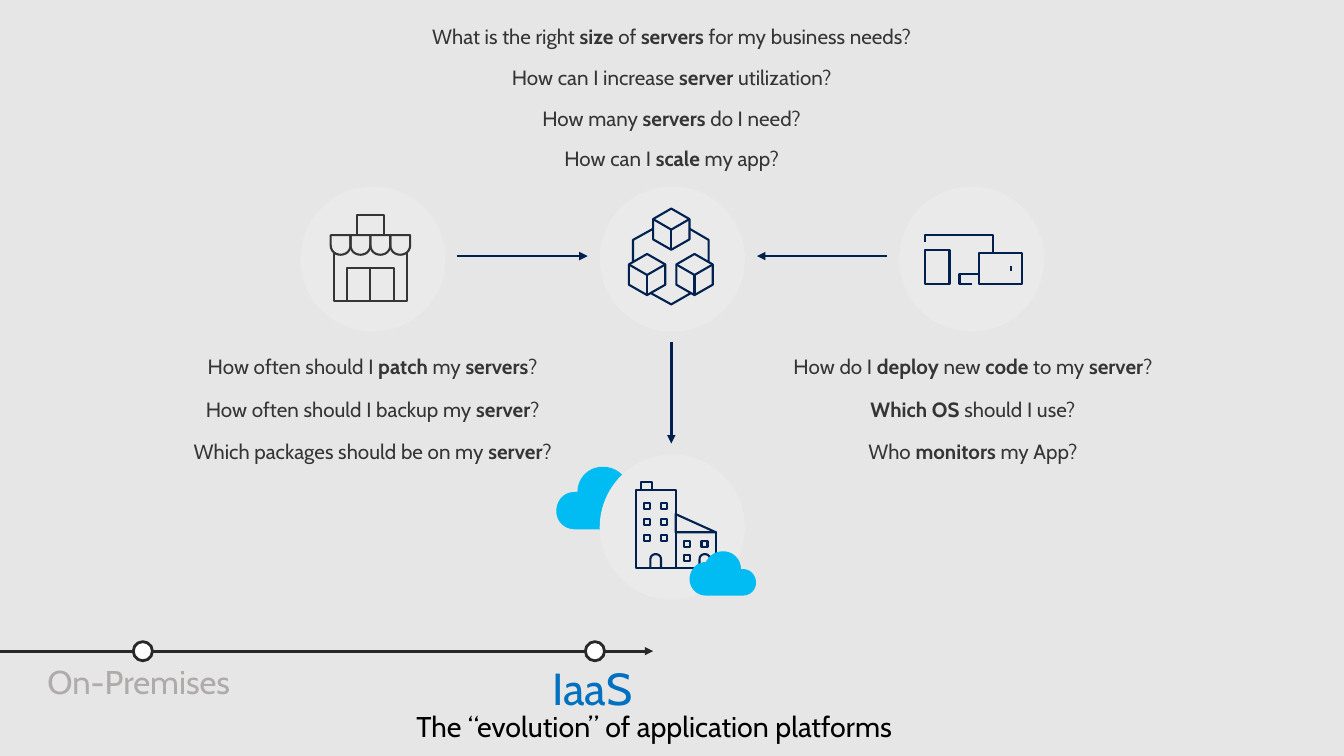
from lxml import etree
from pptx import Presentation
from pptx import util as u
from pptx.dml.color import RGBColor
from pptx.enum import shapes, text
from pptx.oxml import ns

Pt = u.Pt
MSO = shapes.MSO_SHAPE
COLORS = {"back": "E6E6E6", "disc": "EAEAEA", "navy": "002050", "cloud": "00BCF2",
          "dark": "353535", "axis": "282828", "white": "FFFFFF", "black": "000000",
          "blue": "0070C0", "gray": "AFABAB"}


def draw(parent, kind, geometry, fill=None, line=None, weight=1.5, arrow=False):
    """Draw a preset shape (x, y, w, h), a "line" (x1, y1, x2, y2) or a "path".

    A path is a list of contours; a point of six numbers is a cubic curve.
    """
    if kind == "line":
        sp = parent.add_connector(shapes.MSO_CONNECTOR.STRAIGHT, *map(Pt, geometry))
    elif kind == "path":
        builder = None
        for contour in geometry:
            points = []
            for point in contour:
                if len(point) == 2:
                    points.append(point)
                    continue
                cubic = points[-1] + point
                for t in (i / 12 for i in range(1, 13)):
                    weights = ((1 - t) ** 3, 3 * t * (1 - t) ** 2, 3 * t * t * (1 - t), t ** 3)
                    points.append(tuple(sum(w * c for w, c in zip(weights, cubic[axis::2]))
                                        for axis in (0, 1)))
            points = [(round(x * 100), round(y * 100)) for x, y in points]
            if builder is None:
                builder = parent.build_freeform(*points[0], scale=Pt(1) / 100)
            else:
                builder.move_to(*points[0])
            builder.add_line_segments(points[1:], close=points[0] == points[-1])
        sp = builder.convert_to_shape()
    else:
        sp = parent.add_shape(kind, *map(Pt, geometry))
    if line:
        sp.line.color.rgb = RGBColor.from_string(COLORS[line])
        sp.line.width = Pt(weight)
    else:
        sp.line.fill.background()
    if kind == "line":
        if arrow:
            etree.SubElement(sp.line._get_or_add_ln(), ns.qn("a:tailEnd"), type="triangle")
        etree.SubElement(sp._element.spPr, ns.qn("a:effectLst"))
        return sp
    sp.shadow.inherit = False
    if fill:
        sp.fill.solid()
        sp.fill.fore_color.rgb = RGBColor.from_string(COLORS[fill])
    else:
        sp.fill.background()
    return sp


def write(words, box, sp=None, size=14.7, color="dark", align="CENTER", anchor="TOP",
          insets=(7.2, 3.6), wrap=True, spacing=None, after=0):
    """Write a line of text; parts between asterisks are bold."""
    sp = sp or s.shapes.add_textbox(0, 0, 0, 0)
    sp.left, sp.top, sp.width, sp.height = map(Pt, box)
    tf = sp.text_frame
    tf.word_wrap = wrap
    tf.auto_size = text.MSO_AUTO_SIZE.NONE
    tf.vertical_anchor = text.MSO_ANCHOR[anchor]
    tf.margin_left = tf.margin_right = Pt(insets[0])
    tf.margin_top = tf.margin_bottom = Pt(insets[1])
    p = tf.paragraphs[0]
    p.alignment = text.PP_ALIGN[align]
    p.space_before, p.space_after = Pt(0), Pt(after)
    if spacing:
        p.line_spacing = spacing
    for i, part in enumerate(words.split("*")):
        if part:
            r = p.add_run()
            r.text = part
            r.font.name, r.font.size, r.font.bold = "Cabin", Pt(size), i % 2 == 1
            r.font.color.rgb = RGBColor.from_string(COLORS[color])


prs = Presentation()
prs.slide_width, prs.slide_height = Pt(960), Pt(540)
s = prs.slides.add_slide(prs.slide_layouts[5])
s.background.fill.solid()
s.background.fill.fore_color.rgb = RGBColor.from_string(COLORS["back"])
write("The “evolution” of application platforms", (290.2, 509, 373.7, 25.2),
      sp=s.shapes.title, size=20.4, color="black", align="LEFT", anchor="MIDDLE", spacing=0.7)

# Timeline
write("IaaS", (380.2, 464.4, 88.6, 58.3), size=32, color="blue", align="LEFT",
      insets=(14.4, 11.5), wrap=False, spacing=0.9, after=5.9)
write("On-Premises", (19.4, 464.4, 164.9, 49), size=23.5, color="gray", align="LEFT",
      insets=(14.4, 11.5), wrap=False, spacing=0.9, after=5.9)
draw(s.shapes, "line", (0, 465.1, 466.6, 465.1), line="axis", weight=2, arrow=True)
for x in (95.2, 418.1):
    draw(s.shapes, MSO.OVAL, (x, 458.3, 13.7, 13.7), fill="white", line="axis", weight=2)

# Questions: centre, first top, step and lines of each block
for center, top, step, questions in (
    (479.8, 13.7, 29.1, ("What is the right *size* of *servers* for my business needs?",
                         "How can I increase *server* utilization?",
                         "How many *servers* do I need?",
                         "How can I *scale* my app?")),
    (266.2, 249, 30.6, ("How often should I *patch* my *servers*?",
                        "How often should I backup my *server*?",
                        "Which packages should be on my *server*?")),
    (695, 249, 30.6, ("How do I *deploy* new *code* to my *server*?",
                      "*Which OS *should I use?",
                      "Who *monitors* my App?")),
):
    for i, question in enumerate(questions):
        width = 440 if center == 479.8 else 310
        write(question, (center - width / 2, top + i * step, width, 25.2))

# Clouds: the front one is a smaller mirror image of the back one
CLOUD = [(21, 25), (21, 11, 32, 0, 46, 0), (57, 0, 66, 6, 70, 15), (83, 15, 93, 26, 93, 39),
         (93, 52, 83, 62, 70, 62), (18, 62), (8, 62, 0, 54, 0, 44), (0, 33, 8, 25, 18, 25),
         (21, 25)]
back_cloud, front_cloud = (
    [tuple((top if i % 2 else left) + c * (abs(scale) if i % 2 else scale)
           for i, c in enumerate(point)) for point in CLOUD]
    for left, top, scale in ((397.4, 333.4, 0.72), (540, 393.8, -0.51)))
draw(s.shapes, "path", [back_cloud], fill="cloud")

# Icon groups, each on a disc
icons = []
for x, y in ((428.4, 324.7), (428.4, 133.2), (214.6, 133.2), (642.2, 133.2)):
    icons.append(s.shapes.add_group_shape().shapes)
    draw(icons[-1], MSO.OVAL, (x, y, 103.7, 103.7), fill="disc")
office, cubes, shop, devices = icons

# Office building
windows = [(460 + 12.2 * col, 359 + 11.5 * row, 4.3, 4.3) for row in range(3) for col in range(2)]
windows += [(488.9, 386.6, 4.3, 4.3), (501.1, 386.6, 4.3, 4.3), (488.9, 396.7, 4.3, 4.3)]
walls = [(454.3, 349.9, 28.8, 55.8), (457.9, 344.2, 7.9, 5.7), (482.6, 380.2, 28.8, 25.5)]
for box in walls + windows:
    draw(office, MSO.RECTANGLE, box, line="navy")
for x in (464.6, 499.7):
    draw(office, "path", [[(x, 406), (x, 399.6), (x, 394.6, x + 7.6, 394.6, x + 7.6, 399.6),
                           (x + 7.6, 406)]], line="navy")
roof = draw(office, MSO.ISOSCELES_TRIANGLE, (482.6, 367.2, 28.8, 13), line="navy")
roof.adjustments[0] = 0

# Linked cubes
for x, y in ((496.1, 181.4), (462.2, 181.4), (479.5, 149)):
    left, right = x - 13, x + 13
    draw(cubes, "path", [[(left, y + 7.5), (x, y), (right, y + 7.5), (right, y + 22),
                          (x, y + 29.4), (left, y + 22), (left, y + 7.5)]], line="navy")
    draw(cubes, "path", [[(right, y + 7.5), (x, y + 15), (left, y + 7.5)]], line="navy")
    draw(cubes, "line", (x, y + 15, x, y + 29.4), line="navy")
for link in ([(493.2, 209.5), (479.5, 217.4), (465.1, 209.5)],
             [(492.5, 163.4), (506.2, 171.4), (506.2, 187.2)],
             [(452.2, 187.2), (452.2, 171.4), (466.6, 163.4)]):
    draw(cubes, "path", [link], line="navy")

# Shop: sign, walls, door and a scalloped awning
shop_lines = [
    [(255.2, 168), (255.2, 153.7), (274, 153.7), (274, 168)],
    [(238.3, 181), (238.3, 215), (290.5, 215), (290.5, 181)],
    [(248, 215), (248, 191.5), (281.2, 191.5), (281.2, 215)],
    [(264.6, 191.5), (264.6, 215)],
]
for x in (236.2 + 14.2 * i for i in range(4)):
    shop_lines.append([(x, 168), (x, 175), (x, 184.3, x + 14.2, 184.3, x + 14.2, 175),
                       (x + 14.2, 168), (x, 168)])
draw(shop, "path", shop_lines, line="dark")

# Devices
for box in ((661, 178.6, 17.3, 24.5), (699.1, 180.7, 31, 22)):
    draw(devices, MSO.RECTANGLE, box, line="navy")
draw(devices, "line", (722.2, 193.7, 722.2, 190.1), line="navy", weight=2)
for outline in ([(699.1, 195.8), (685.4, 195.8), (685.4, 202.6), (694.1, 202.6)],
                [(661, 172.8), (661, 167.8), (709.2, 167.8), (709.2, 180.7)]):
    draw(devices, "path", [outline], line="navy")

# Flow arrows
for ends in ((326.2, 182.9, 419.8, 182.9), (633.6, 182.9, 540.7, 182.9),
             (479.5, 244.1, 479.5, 316.8)):
    draw(s.shapes, "line", ends, line="navy", weight=2, arrow=True)
draw(s.shapes, "path", [front_cloud], fill="cloud")

prs.save("out.pptx")
